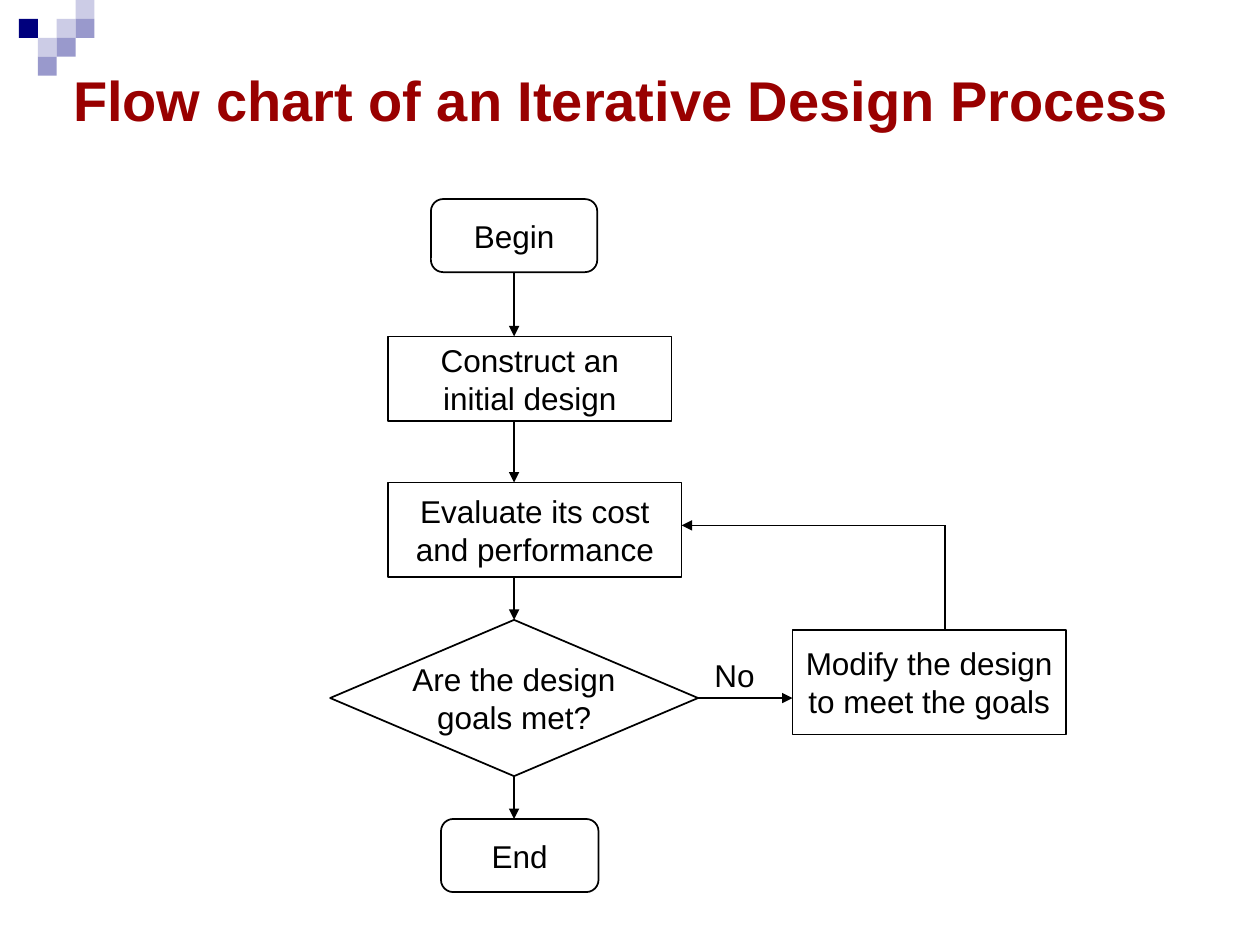
from lxml import etree
from pptx import Presentation
from pptx.dml.color import RGBColor
from pptx.enum.shapes import MSO_CONNECTOR, MSO_SHAPE as Shape
from pptx.enum.text import MSO_ANCHOR as Anchor, PP_ALIGN as Align
from pptx.oxml.ns import qn
from pptx.util import Inches, Pt


def color(value):
    return RGBColor.from_string(value)


def write(frame, text, size, hex_color, align, anchor, bold=False):
    frame.margin_left = frame.margin_right = 0
    frame.margin_top = frame.margin_bottom = 0
    frame.vertical_anchor = anchor
    paragraph = frame.paragraphs[0]
    paragraph.alignment = align
    for index, line in enumerate(text.split("\n")):
        if index:
            paragraph.add_line_break()
        run = paragraph.add_run()
        run.text = line
        run.font.name = "Arial"
        run.font.size = Pt(size)
        run.font.bold = bold
        run.font.color.rgb = color(hex_color)


presentation = Presentation()
presentation.slide_width = Inches(10)
presentation.slide_height = Inches(7.5)
slide = presentation.slides.add_slide(presentation.slide_layouts[5])
shapes = slide.shapes

title = shapes.title
title.left, title.top = Inches(0.49), Inches(0.48)
title.width, title.height = Inches(9.2), Inches(0.92)
write(title.text_frame, "Flow chart of an Iterative Design Process", 32,
      "990000", Align.LEFT, Anchor.TOP, bold=True)
title.text_frame.word_wrap = True
title.text_frame.margin_left = Inches(0.09)
title.text_frame.margin_top = Inches(0.04)

square_size = 0.15
corner_squares = {
    "CCCCE6": [(4, 0), (3, 1), (2, 2)],
    "9999CC": [(4, 1), (3, 2), (2, 3)],
    "00007D": [(1, 1)],
}
for fill, cells in corner_squares.items():
    for column, row in cells:
        square = shapes.add_shape(
            Shape.RECTANGLE, Inches(column * square_size), Inches(row * square_size),
            Inches(square_size), Inches(square_size))
        square.shadow.inherit = False
        square.fill.solid()
        square.fill.fore_color.rgb = color(fill)
        square.line.fill.background()

steps = [
    ("Begin", Shape.ROUNDED_RECTANGLE, 3.42, 1.58, 1.32, 0.58),
    ("Construct an\ninitial design", Shape.RECTANGLE, 3.08, 2.67, 2.25, 0.67),
    ("Evaluate its cost\nand performance", Shape.RECTANGLE, 3.08, 3.83, 2.33, 0.75),
    ("Are the design\ngoals met?", Shape.DIAMOND, 2.62, 4.92, 2.92, 1.24),
    ("End", Shape.ROUNDED_RECTANGLE, 3.5, 6.5, 1.25, 0.58),
    ("Modify the design\nto meet the goals", Shape.RECTANGLE, 6.29, 5, 2.17, 0.83),
]
boxes = {}
for text, kind, left, top, width, height in steps:
    box = shapes.add_shape(kind, Inches(left), Inches(top), Inches(width), Inches(height))
    box.shadow.inherit = False
    box.fill.background()
    box.line.color.rgb = color("000000")
    box.line.width = Pt(1)
    box.text_frame.word_wrap = False
    write(box.text_frame, text, 18, "000000", Align.CENTER, Anchor.MIDDLE)
    boxes[text.split()[0]] = box

label = shapes.add_textbox(Inches(5.67), Inches(5.21), Inches(0.35), Inches(0.33))
label.text_frame.word_wrap = False
write(label.text_frame, "No", 18, "000000", Align.LEFT, Anchor.TOP)

axis = 4.08
bottom, right, top_side = 2, 3, 0
links = [
    (axis, 2.16, axis, 2.67, True, ("Begin", bottom), None),
    (axis, 3.34, axis, 3.83, True, None, None),
    (axis, 4.58, axis, 4.92, True, None, ("Are", top_side)),
    (axis, 6.16, axis, 6.5, True, ("Are", bottom), None),
    (5.54, 5.54, 6.29, 5.54, True, ("Are", right), None),
    (7.5, 5, 7.5, 4.17, False, None, None),
    (7.5, 4.17, 5.41, 4.17, True, None, None),
]
for x1, y1, x2, y2, has_arrow, start, end in links:
    connector = shapes.add_connector(
        MSO_CONNECTOR.STRAIGHT, Inches(x1), Inches(y1), Inches(x2), Inches(y2))
    if start:
        connector.begin_connect(boxes[start[0]], start[1])
    if end:
        connector.end_connect(boxes[end[0]], end[1])
    connector.line.color.rgb = color("000000")
    connector.line.width = Pt(1)
    if has_arrow:
        line = connector.line._get_or_add_ln()
        etree.SubElement(line, qn("a:tailEnd"), type="triangle")
    etree.SubElement(connector._element.spPr, qn("a:effectLst"))

presentation.save("out.pptx")
